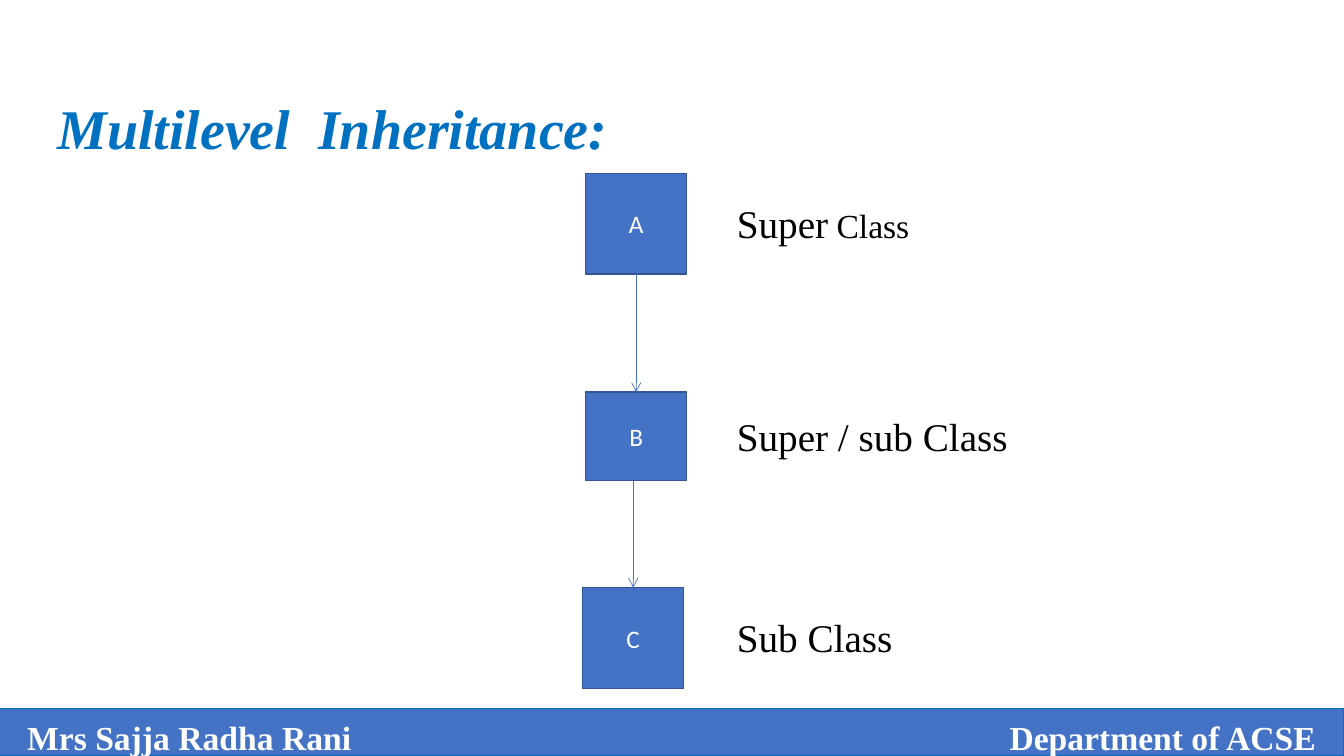
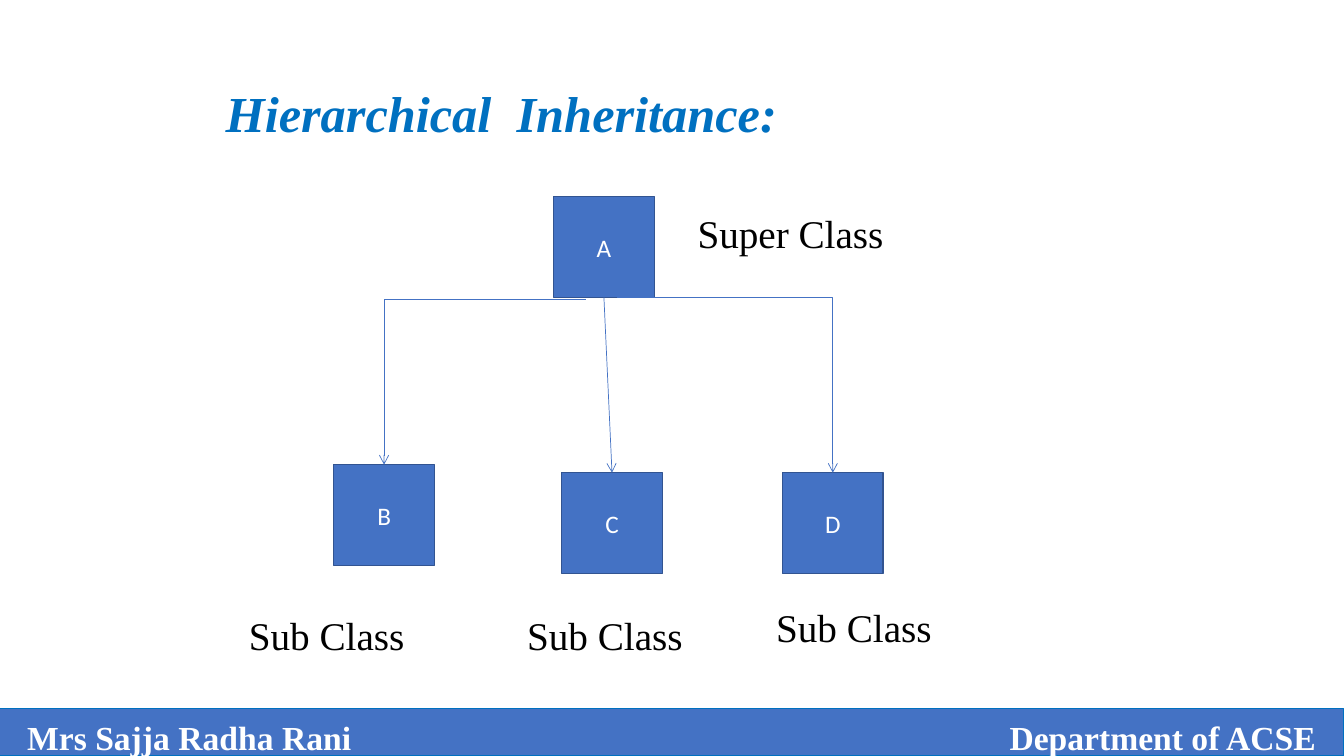
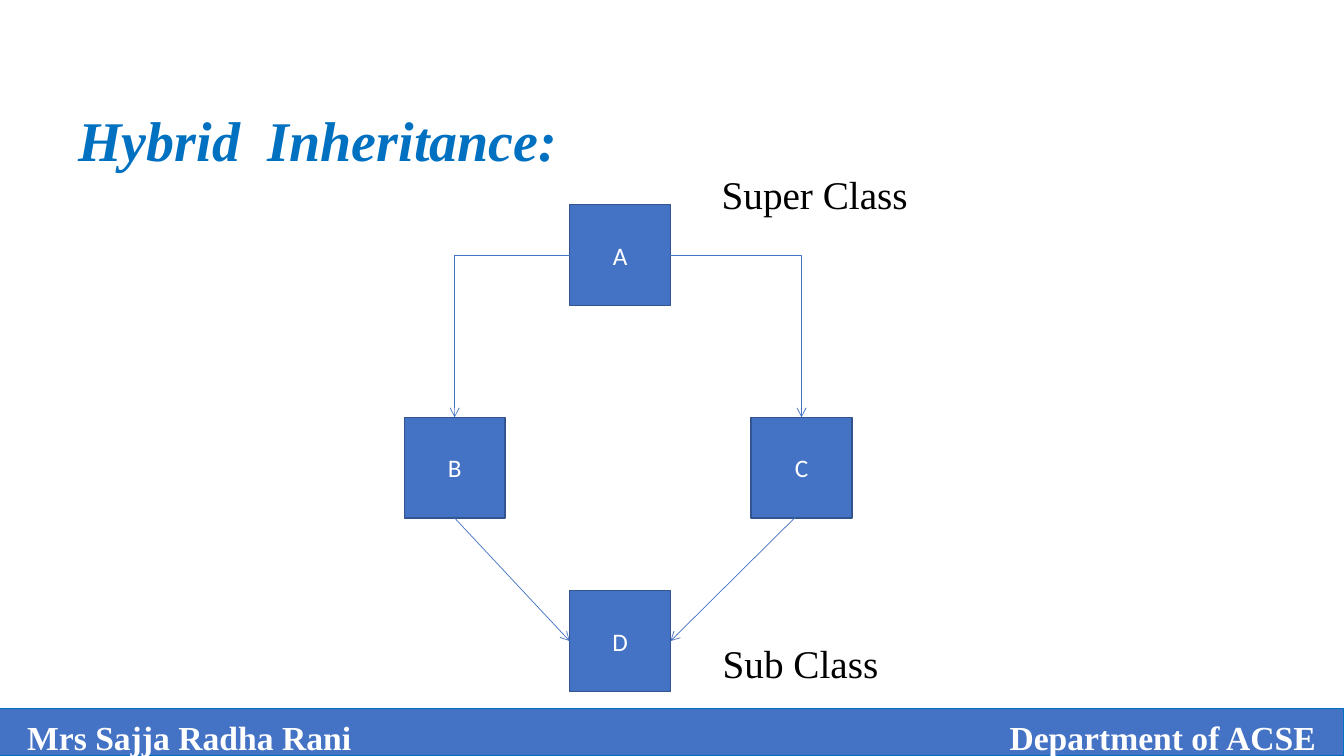
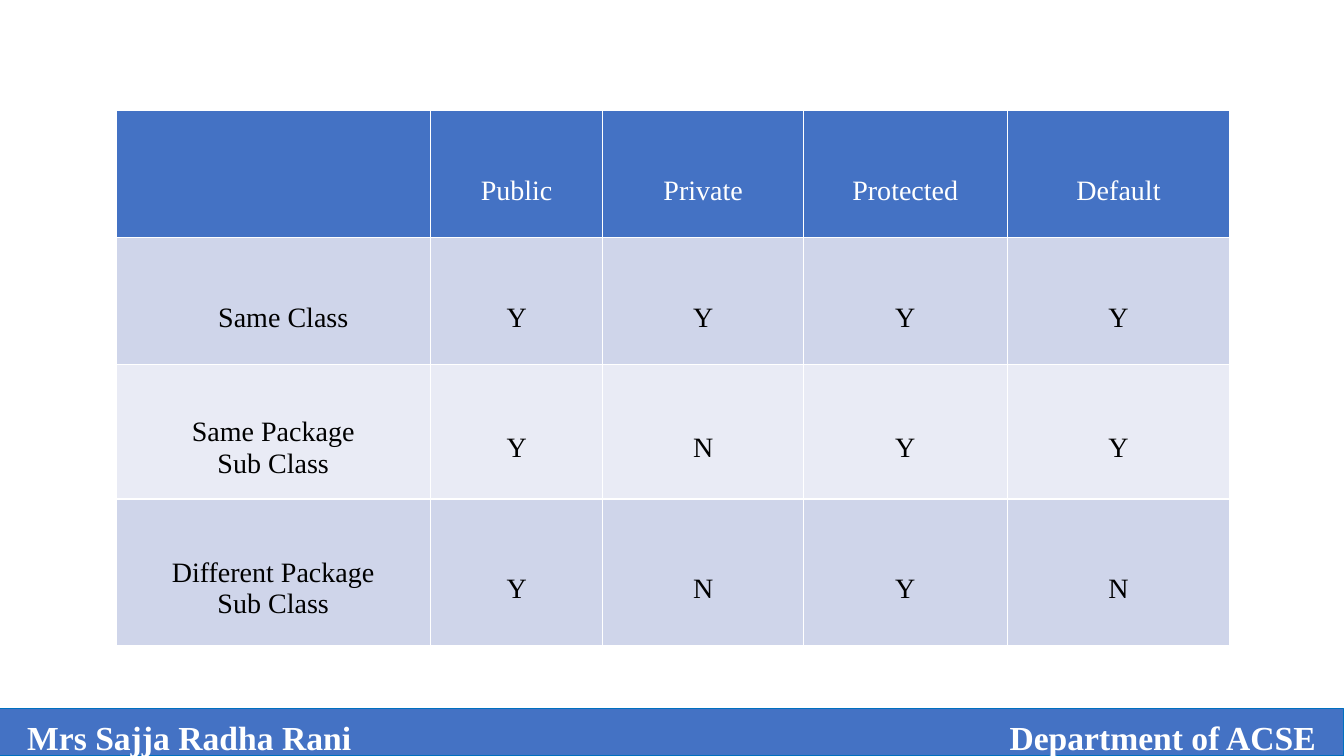
from lxml.etree import SubElement as sub
from pptx import Presentation
from pptx.dml.color import RGBColor as Rgb
from pptx.enum.shapes import MSO_CONNECTOR as Conn, MSO_SHAPE as Kind
from pptx.enum.text import MSO_ANCHOR as Anchor, PP_ALIGN as Align
from pptx.oxml.ns import qn
from pptx.util import Inches, Pt

BLUE, EDGE, AZURE = "4472C4", "325491", "0070C0"
WHITE, BLACK = "FFFFFF", "000000"
BANDS = ["CFD5EA", "E9EBF5"]
SERIF, SANS = "Times New Roman", "Calibri"
TOP, LEFT, BASE, RIGHT = range(4)
SIDES = {TOP: (0.5, 0), LEFT: (0, 0.5), BASE: (0.5, 1), RIGHT: (1, 0.5)}


def hue(code):
    """Turn a hex string into a colour."""
    return Rgb.from_string(code)


def style(run, size, color, face=SERIF, bold=False, slant=False):
    """Format one run."""
    font = run.font
    font.name, font.size, font.bold, font.italic = face, Pt(size), bold, slant
    font.color.rgb = hue(color)


def block(slide, x, y, w, h, text, edge, width):
    """Add a blue rectangle with text."""
    shape = slide.shapes.add_shape(Kind.RECTANGLE, Inches(x), Inches(y), Inches(w), Inches(h))
    shape.shadow.inherit = False
    shape.fill.solid()
    shape.fill.fore_color.rgb = hue(BLUE)
    shape.line.color.rgb = hue(edge)
    shape.line.width = Pt(width)
    shape.text_frame.text = text
    return shape


def footer(slide):
    """Add the band with the author and the department."""
    band = block(slide, 0, 7.03, 13.33, 0.47, "Mrs Sajja Radha Rani\tDepartment of ACSE", AZURE, 0.75)
    frame = band.text_frame
    frame.vertical_anchor = Anchor.TOP
    frame.margin_left, frame.margin_top = Inches(0.27), Inches(0.08)
    para = frame.paragraphs[0]
    para.alignment = Align.LEFT
    stops = sub(para._p.get_or_add_pPr(), qn("a:tabLst"))
    sub(stops, qn("a:tab"), pos=str(Inches(12.78)), algn="r")
    for run in para.runs:
        style(run, 24, WHITE, bold=True)


def page(deck):
    """Add a blank slide with the footer."""
    slide = deck.slides.add_slide(deck.slide_layouts[6])
    footer(slide)
    return slide


def note(slide, x, y, w, h, text):
    """Add a text box and return its paragraph."""
    frame = slide.shapes.add_textbox(Inches(x), Inches(y), Inches(w), Inches(h)).text_frame
    frame.word_wrap = True
    frame.text = text
    return frame.paragraphs[0]


def title(slide, x, y, w, h, text, size=40):
    """Add a slanted blue title."""
    para = note(slide, x, y, w, h, text)
    para.line_spacing = 1.5
    style(para.runs[0], size, AZURE, bold=True, slant=True)


def label(slide, x, y, w, text, tail=""):
    """Add a caption, with an optional smaller tail."""
    para = note(slide, x, y, w, 0.57, text)
    style(para.runs[0], 28, BLACK)
    if tail:
        run = para.add_run()
        run.text = tail
        style(run, 24, BLACK)


def node(slide, x, y, name, h=1):
    """Add a class box."""
    box = block(slide, x, y, 1, h, name, EDGE, 1)
    box.text_frame.vertical_anchor = Anchor.MIDDLE
    para = box.text_frame.paragraphs[0]
    para.alignment = Align.CENTER
    style(para.runs[0], 18, WHITE, SANS)
    return box


def spot(end):
    """Give the place of a box side or of a plain point."""
    first, second = end
    if hasattr(first, "left"):
        across, down = SIDES[second]
        return int(first.left + across * first.width), int(first.top + down * first.height)
    return Inches(first), Inches(second)


def arrow(slide, start, end, bent=False):
    """Add an arrow between box sides or points."""
    kind = Conn.ELBOW if bent else Conn.STRAIGHT
    line = slide.shapes.add_connector(kind, *spot(start), *spot(end))
    for place, join in ((start, line.begin_connect), (end, line.end_connect)):
        if hasattr(place[0], "left"):
            join(*place)
    line.line.color.rgb = hue(BLUE)
    line.line.width = Pt(0.5)
    props = line._element.spPr
    if bent:
        props.find(qn("a:prstGeom")).set("prst", "bentConnector2")
    sub(props.find(qn("a:ln")), qn("a:tailEnd"), type="arrow")
    sub(props, qn("a:effectLst"))


def grid(slide, x, y, cols, rows, data):
    """Add the access table."""
    table = slide.shapes.add_table(
        len(rows), len(cols), Inches(x), Inches(y), Inches(sum(cols)), Inches(sum(rows))
    ).table
    for col, w in zip(table.columns, cols):
        col.width = Inches(w)
    for r, (h, texts) in enumerate(zip(rows, data)):
        table.rows[r].height = Inches(h)
        for c, text in enumerate(texts):
            cell = table.cell(r, c)
            cell.fill.solid()
            cell.fill.fore_color.rgb = hue(BANDS[(r - 1) % 2] if r else BLUE)
            cell.vertical_anchor = Anchor.MIDDLE
            cell.margin_top = Inches(0.37)
            cell.text_frame.text = text
            for para in cell.text_frame.paragraphs:
                para.alignment = Align.CENTER
                for run in para.runs:
                    style(run, 20, BLACK if r else WHITE)
    return table


def multi(deck):
    """Build the multilevel slide."""
    slide = page(deck)
    title(slide, 0.47, 0.55, 5.88, 1, "Multilevel  Inheritance:")
    a = node(slide, 5.81, 1.72, "A")
    b = node(slide, 5.81, 3.89, "B", 0.88)
    c = node(slide, 5.78, 5.83, "C")
    arrow(slide, (a, BASE), (b, TOP))
    arrow(slide, (6.28, 4.77), (c, TOP))
    label(slide, 7.21, 1.93, 1.95, "Super", " Class")
    label(slide, 7.21, 4.04, 2.95, "Super / sub Class")
    label(slide, 7.21, 6.04, 1.8, "Sub Class")


def tree(deck):
    """Build the hierarchical slide."""
    slide = page(deck)
    title(slide, 2.14, 0.47, 5.96, 0.9, "Hierarchical  Inheritance:", 36)
    a = node(slide, 5.49, 1.95, "A")
    b = node(slide, 3.31, 4.61, "B")
    c = node(slide, 5.57, 4.69, "C")
    d = node(slide, 7.76, 4.69, "D")
    arrow(slide, (5.81, 2.97), (b, TOP), True)
    arrow(slide, (6.12, 2.95), (d, TOP), True)
    arrow(slide, (a, BASE), (c, TOP))
    label(slide, 6.82, 2.03, 2.1, "Super Class")
    for x, y in ((2.37, 6.02), (5.13, 6.02), (7.6, 5.94)):
        label(slide, x, y, 1.8, "Sub Class")


def hybrid(deck):
    """Build the hybrid slide."""
    slide = page(deck)
    title(slide, 0.68, 0.66, 5.33, 1, "Hybrid  Inheritance:")
    a = node(slide, 5.65, 2.03, "A")
    b = node(slide, 4.01, 4.14, "B")
    c = node(slide, 7.45, 4.14, "C")
    d = node(slide, 5.65, 5.86, "D")
    arrow(slide, (a, RIGHT), (c, TOP), True)
    arrow(slide, (a, LEFT), (b, TOP), True)
    arrow(slide, (7.89, 5.13), (d, RIGHT))
    arrow(slide, (b, BASE), (d, LEFT))
    label(slide, 7.06, 1.64, 2.1, "Super Class")
    label(slide, 7.07, 6.29, 1.8, "Sub Class")


def access(deck):
    """Build the access slide."""
    table = grid(page(deck), 1.15, 1.1, [3.12, 1.71, 1.99, 2.02, 2.21], [1.26, 1.26, 1.33, 1.46], [
        ["", "Public", "Private", "Protected", "Default"],
        ["Same Class", *"YYYY"],
        ["Same Package\nSub Class", *"YNYY"],
        ["Different Package\nSub Class", *"YNYN"],
    ])
    table.cell(1, 0).margin_left = Inches(0.3)


def main():
    """Build and save the deck."""
    deck = Presentation()
    deck.slide_width, deck.slide_height = Inches(13.33), Inches(7.5)
    for build in (multi, tree, hybrid, access):
        build(deck)
    deck.save("out.pptx")


if __name__ == "__main__":
    main()
